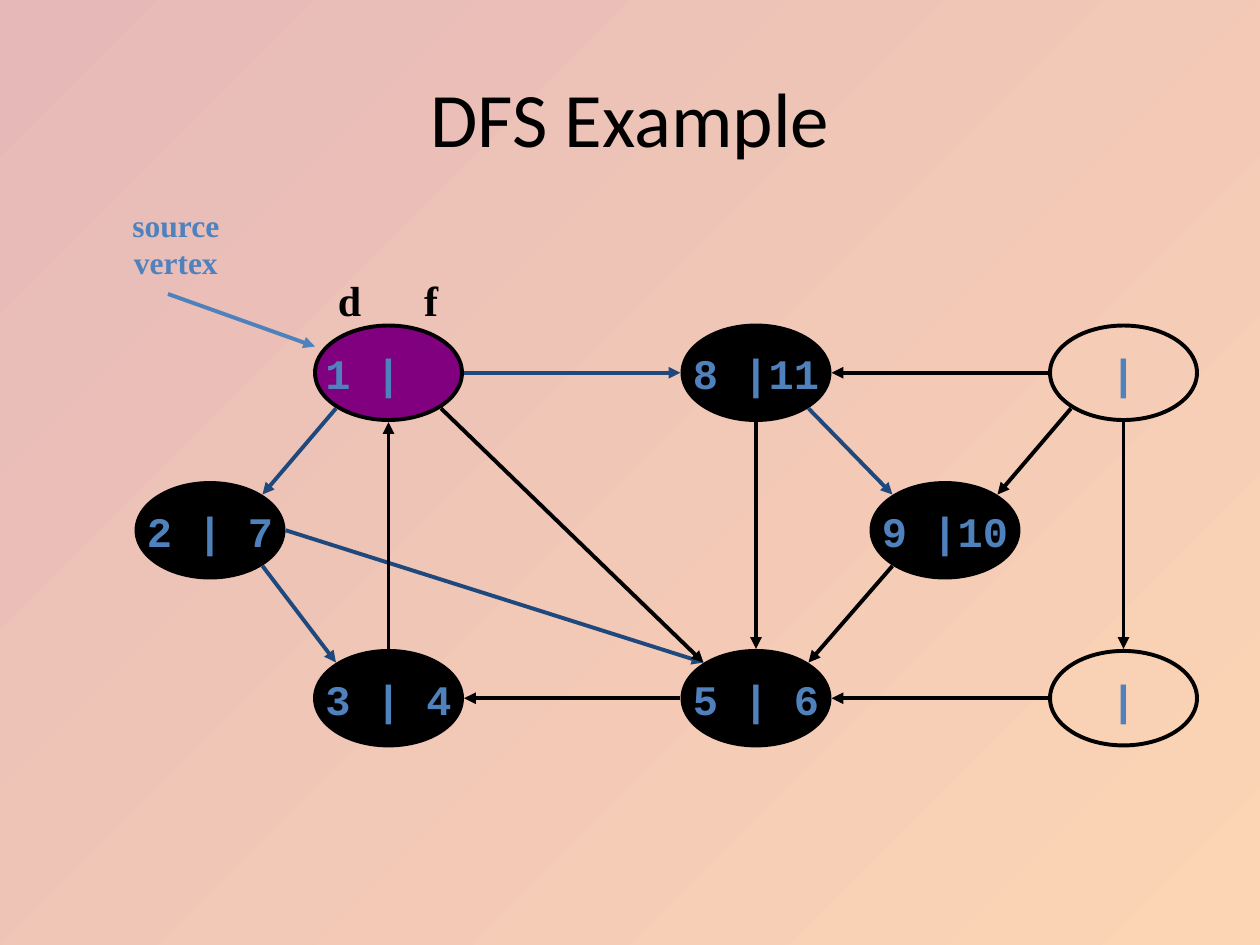
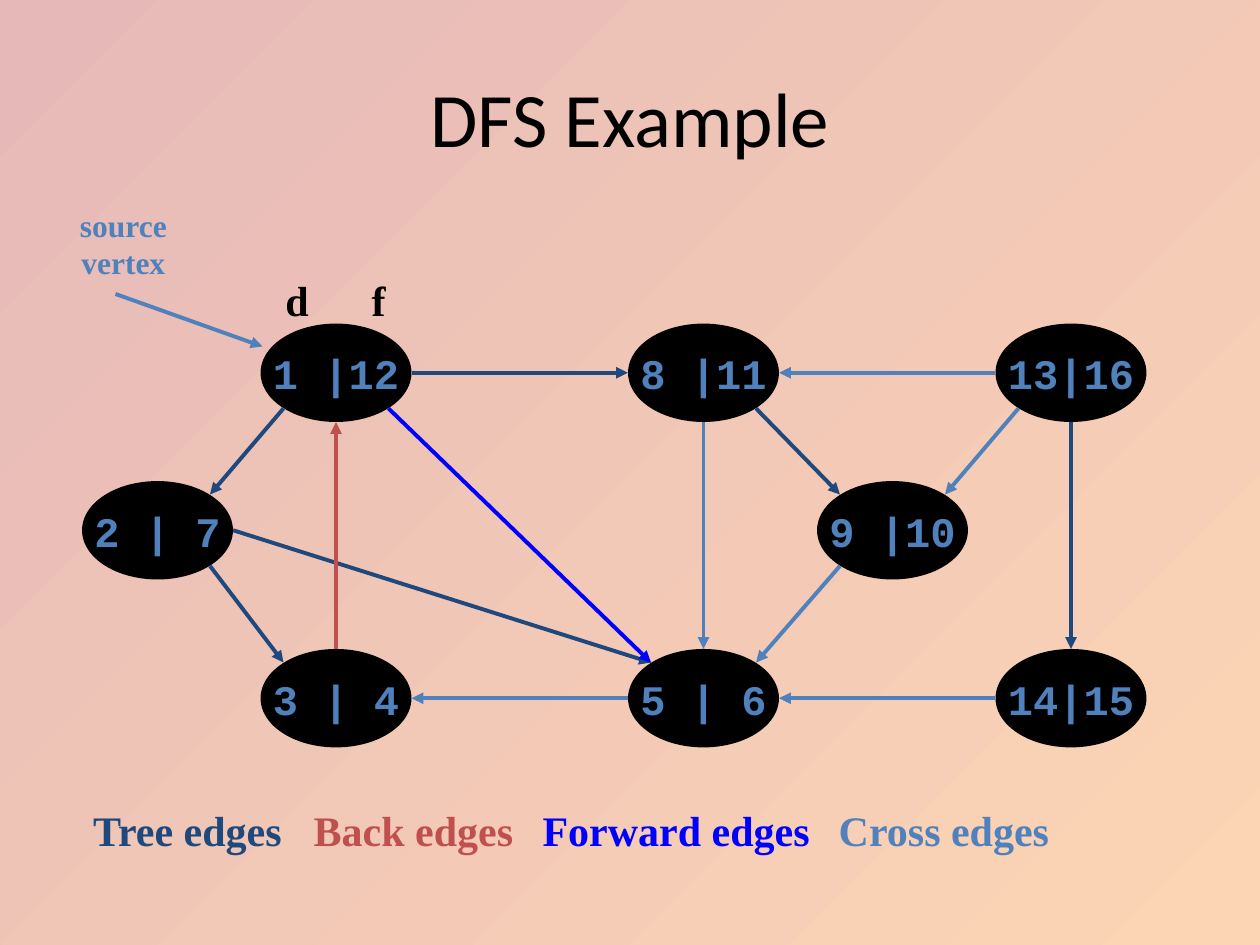
from dataclasses import dataclass

from lxml.etree import SubElement
from pptx import Presentation
from pptx.dml.color import RGBColor
from pptx.enum.shapes import MSO_CONNECTOR, MSO_SHAPE
from pptx.enum.text import MSO_ANCHOR, PP_ALIGN
from pptx.oxml.ns import qn
from pptx.slide import Slide
from pptx.text.text import TextFrame
from pptx.util import Emu, Pt

PX = 7620  # EMU in one px, 120 px to the inch
NODE_W, NODE_H = 140, 90
LINE_W = 2.25
COLORS = {
    "bg_start": "E6B9B8",
    "bg_end": "FCD5B5",
    "black": "000000",
    "active": "800080",
    "label": "4F81BD",
    "tree": "1F497D",
    "back": "C0504D",
    "forward": "0000FF",
    "cross": "4F81BD",
}
SERIF, MONO, SANS = "Times New Roman", "Courier New", "Calibri"

# Offsets from a vertex centre to the points where edges attach
PORTS = {
    "n": (0, -47), "s": (0, 47), "e": (72, 0), "w": (-72, 0),
    "nw": (-50, -34), "ne": (50, -34), "sw": (-50, 34), "se": (50, 34),
}


@dataclass(frozen=True)
class Vertex:
    x: int
    y: int


@dataclass(frozen=True)
class Edge:
    start: str
    start_port: str
    end: str
    end_port: str
    kind: str


@dataclass(frozen=True)
class Step:
    shift: int
    times: dict[str, tuple[str, str]]
    classified: bool


@dataclass(frozen=True)
class LegendItem:
    kind: str
    width: int


LEFT, MIDDLE, RIGHT = 300, 650, 1000
TOP, CENTER, BOTTOM = 310, 460, 620
VERTICES = {
    "source": Vertex(LEFT, TOP),
    "top": Vertex(MIDDLE, TOP),
    "top_right": Vertex(RIGHT, TOP),
    "bottom_right": Vertex(RIGHT, BOTTOM),
    "bottom": Vertex(MIDDLE, BOTTOM),
    "bottom_left": Vertex(LEFT, BOTTOM),
    "left": Vertex(130, CENTER),
    "inner": Vertex(830, CENTER),
}
EDGES = [
    Edge("source", "sw", "left", "ne", "tree"),
    Edge("left", "se", "bottom_left", "nw", "tree"),
    Edge("left", "e", "bottom", "nw", "tree"),
    Edge("bottom", "w", "bottom_left", "e", "cross"),
    Edge("bottom_left", "n", "source", "s", "back"),
    Edge("source", "se", "bottom", "nw", "forward"),
    Edge("top", "s", "bottom", "n", "cross"),
    Edge("source", "e", "top", "w", "tree"),
    Edge("top_right", "w", "top", "e", "cross"),
    Edge("top", "se", "inner", "nw", "tree"),
    Edge("top_right", "sw", "inner", "ne", "cross"),
    Edge("top_right", "s", "bottom_right", "n", "tree"),
    Edge("bottom_right", "w", "bottom", "e", "cross"),
    Edge("inner", "sw", "bottom", "ne", "cross"),
]
LEGEND = [
    LegendItem("tree", 206),
    LegendItem("back", 214),
    LegendItem("forward", 278),
    LegendItem("cross", 224),
]

# Discovery and finish times; an empty string is a time not yet known
FINISHED = {
    "top": ("8", "11"), "bottom": ("5", "6"), "bottom_left": ("3", "4"),
    "left": ("2", "7"), "inner": ("9", "10"),
}
STEPS = [
    Step(0, FINISHED | {"source": ("1", "")}, False),
    Step(-50, FINISHED | {"source": ("1", "12"), "top_right": ("13", "16"),
                          "bottom_right": ("14", "15")}, True),
]


def px(n: int) -> Emu:
    return Emu(n * PX)


def rgb(name: str) -> RGBColor:
    return RGBColor.from_string(COLORS[name])


def write(tf: TextFrame, text: str, size: int, font: str, color: str,
          align: PP_ALIGN = PP_ALIGN.CENTER, bold: bool = True) -> None:
    p = tf.paragraphs[0]
    p.alignment = align
    for i, line in enumerate(text.split("\n")):
        if i:
            p.add_line_break()
        r = p.add_run()
        r.text = line
        r.font.size, r.font.name, r.font.bold = Pt(size), font, bold
        r.font.color.rgb = rgb(color)


def add_label(s: Slide, x: int, y: int, w: int, h: int) -> TextFrame:
    tf = s.shapes.add_textbox(px(x), px(y), px(w), px(h)).text_frame
    tf.word_wrap = False
    return tf


def add_vertex(s: Slide, v: Vertex, shift: int, start: str, finish: str) -> None:
    sp = s.shapes.add_shape(MSO_SHAPE.OVAL, px(v.x + shift), px(v.y), px(NODE_W), px(NODE_H))
    sp.shadow.inherit = False
    if start:
        sp.fill.solid()
        sp.fill.fore_color.rgb = rgb("black" if finish else "active")
    else:
        sp.fill.background()
    sp.line.color.rgb = rgb("black")
    sp.line.width = Pt(LINE_W)
    tf = sp.text_frame
    tf.word_wrap = False
    tf.vertical_anchor = MSO_ANCHOR.MIDDLE
    write(tf, f"{start:<2}|{finish:>2}", 24, MONO, "label")


def add_arrow(s: Slide, start: tuple[int, int], end: tuple[int, int], color: str) -> None:
    c = s.shapes.add_connector(MSO_CONNECTOR.STRAIGHT, *map(px, start + end))
    c.line.color.rgb = rgb(color)
    c.line.width = Pt(LINE_W)
    SubElement(c.line._get_or_add_ln(), qn("a:tailEnd"), type="triangle")
    SubElement(c._element.spPr, qn("a:effectLst"))


def port(name: str, side: str, shift: int) -> tuple[int, int]:
    v, (dx, dy) = VERTICES[name], PORTS[side]
    return v.x + NODE_W // 2 + dx + shift, v.y + NODE_H // 2 + dy


def add_graph(s: Slide, step: Step) -> None:
    for name, v in VERTICES.items():
        add_vertex(s, v, step.shift, *step.times.get(name, ("", "")))
    for e in EDGES:
        followed = e.kind == "tree" and e.start in step.times
        color = e.kind if step.classified or followed else "black"
        add_arrow(s, port(e.start, e.start_port, step.shift),
                  port(e.end, e.end_port, step.shift), color)


def add_source_notes(s: Slide, shift: int) -> None:
    add_arrow(s, (160 + shift, 280), (300 + shift, 330), "label")
    write(add_label(s, 114 + shift, 190, 107, 84), "source\nvertex", 18, SERIF, "label")
    # Headings of the two times, set apart by a tab stop
    tf = add_label(s, 310 + shift, 240, 140, NODE_H)
    tf.word_wrap = True
    tf.vertical_anchor = MSO_ANCHOR.MIDDLE
    tabs = SubElement(tf.paragraphs[0]._p.get_or_add_pPr(), qn("a:tabLst"))
    SubElement(tabs, qn("a:tab"), pos=str(px(82)), algn="l")
    write(tf, "d\tf", 24, SERIF, "black", PP_ALIGN.LEFT)


def add_legend(s: Slide) -> None:
    x = 77
    for item in LEGEND:
        tf = add_label(s, x, 760, item.width, 60)
        write(tf, f"{item.kind.title()} edges", 24, SERIF, item.kind, PP_ALIGN.LEFT)
        x += item.width + 4


def add_title(s: Slide, text: str) -> None:
    sp = s.shapes.title
    sp.left, sp.top, sp.width, sp.height = px(60), px(36), px(1080), px(150)
    sp.text_frame.vertical_anchor = MSO_ANCHOR.MIDDLE
    write(sp.text_frame, text, 44, SANS, "black", bold=False)


def main() -> None:
    prs = Presentation()
    prs.slide_width, prs.slide_height = px(1200), px(900)

    # Shared background
    fill = prs.slide_master.background.fill
    fill.gradient()
    fill.gradient_angle = 315
    for stop, name in zip(fill.gradient_stops, ("bg_start", "bg_end")):
        stop.color.rgb = rgb(name)

    # One slide for each step of the search
    for step in STEPS:
        s = prs.slides.add_slide(prs.slide_layouts[5])
        add_title(s, "DFS Example")
        add_graph(s, step)
        add_source_notes(s, step.shift)
        if step.classified:
            add_legend(s)
    prs.save("out.pptx")


if __name__ == "__main__":
    main()
